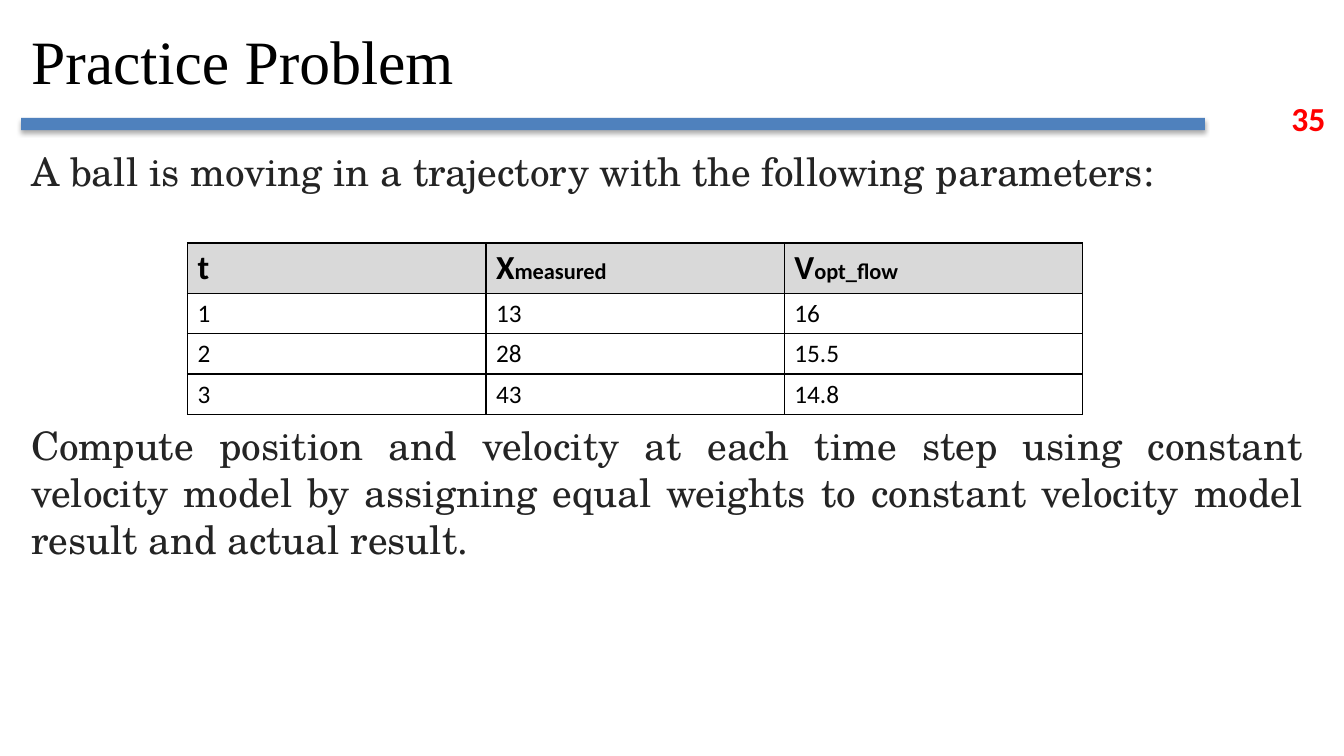
from dataclasses import dataclass

import pptx
import pptx.dml.color
import pptx.enum.shapes
import pptx.enum.text
import pptx.oxml
import pptx.oxml.ns
import pptx.util

EMU_PER_PX = 9144  # 100 px to the inch
ANCHOR = pptx.enum.text.MSO_ANCHOR
ALIGN = pptx.enum.text.PP_ALIGN


@dataclass(frozen=True)
class Theme:
    black: str = "000000"
    bar: str = "4F81BD"
    page_number: str = "FF0000"
    body: str = "242424"
    header_fill: str = "D9D9D9"
    title_font: str = "Times New Roman"
    body_font: str = "TeX Gyre Schola"
    table_font: str = "Calibri"
    title_size: int = 44
    body_size: int = 28
    header_size: int = 24
    subscript_size: int = 16
    cell_size: int = 18


@dataclass(frozen=True)
class Box:
    left: int
    top: int
    width: int
    height: int

    def emu(self) -> tuple[int, ...]:
        return tuple(px(n) for n in (self.left, self.top, self.width, self.height))


@dataclass(frozen=True)
class Style:
    font: str
    size: int
    color: str
    bold: bool = False


@dataclass(frozen=True)
class TextBlock:
    box: Box
    paragraphs: tuple[str, ...]
    style: Style
    align: ALIGN = ALIGN.LEFT
    anchor: ANCHOR = ANCHOR.TOP
    wrap: bool = True
    gap: int = 0


THEME = Theme()
BAR = Box(21, 117, 1174, 12)
TABLE = Box(186, 241, 888, 170)
HEADER_HEIGHT, ROW_HEIGHT = 50, 40
HEADERS = (("t", ""), ("X", "measured"), ("V", "opt_flow"))
ROWS = (("1", "13", "16"), ("2", "28", "15.5"), ("3", "43", "14.8"))

TEXT_BLOCKS = (
    TextBlock(Box(1271, 92, 59, 50), ("35",),
              Style(THEME.table_font, THEME.header_size, THEME.page_number, True),
              wrap=False),
    TextBlock(Box(21, 8, 1174, 102), ("Practice Problem",),
              Style(THEME.title_font, THEME.title_size, THEME.black),
              anchor=ANCHOR.MIDDLE),
    TextBlock(Box(21, 141, 1281, 602),
              ("A ball is moving in a trajectory with the following parameters:",
               "Compute position and velocity at each time step using constant "
               "velocity model by assigning equal weights to constant velocity "
               "model result and actual result."),
              Style(THEME.body_font, THEME.body_size, THEME.body),
              align=ALIGN.JUSTIFY, gap=162),
)


def px(length: int) -> int:
    return length * EMU_PER_PX


def rgb(color: str) -> pptx.dml.color.RGBColor:
    return pptx.dml.color.RGBColor.from_string(color)


def format_run(run, style: Style) -> None:
    run.font.name = style.font
    run.font.size = pptx.util.Pt(style.size)
    run.font.bold = style.bold
    run.font.color.rgb = rgb(style.color)


def add_text(slide, block: TextBlock) -> None:
    frame = slide.shapes.add_textbox(*block.box.emu()).text_frame
    frame.word_wrap = block.wrap
    frame.vertical_anchor = block.anchor
    frame.text = "\n".join(block.paragraphs)
    for index, paragraph in enumerate(frame.paragraphs):
        paragraph.alignment = block.align
        if index:
            paragraph.space_before = pptx.util.Pt(block.gap)
        format_run(paragraph.runs[0], block.style)


def add_bar(slide) -> None:
    bar = slide.shapes.add_shape(
        pptx.enum.shapes.MSO_SHAPE.RECTANGLE, *BAR.emu())
    bar.fill.solid()
    bar.fill.fore_color.rgb = rgb(THEME.bar)
    bar.line.fill.background()
    bar._element.spPr.append(pptx.oxml.parse_xml(
        f'<a:effectLst {pptx.oxml.ns.nsdecls("a")}>'
        '<a:outerShdw blurRad="44450" dist="27940" dir="5400000" rotWithShape="0">'
        f'<a:srgbClr val="{THEME.black}"><a:alpha val="32000"/></a:srgbClr>'
        '</a:outerShdw></a:effectLst>'))


def add_borders(cell) -> None:
    properties = cell._tc.get_or_add_tcPr()
    for index, side in enumerate("LRTB"):
        properties.insert(index, pptx.oxml.parse_xml(
            f'<a:ln{side} {pptx.oxml.ns.nsdecls("a")} w="12700"><a:solidFill>'
            f'<a:srgbClr val="{THEME.black}"/></a:solidFill></a:ln{side}>'))


def add_table(slide) -> None:
    table = slide.shapes.add_table(
        len(ROWS) + 1, len(HEADERS), *TABLE.emu()).table
    table.horz_banding = False
    for column in table.columns:
        column.width = px(TABLE.width // len(HEADERS))
    for index, row in enumerate(table.rows):
        row.height = px(ROW_HEIGHT if index else HEADER_HEIGHT)

    header_style = Style(THEME.table_font, THEME.header_size, THEME.black, True)
    subscript_style = Style(THEME.table_font, THEME.subscript_size, THEME.black, True)
    cell_style = Style(THEME.table_font, THEME.cell_size, THEME.black)

    for column, (symbol, subscript) in enumerate(HEADERS):
        cell = table.cell(0, column)
        cell.fill.solid()
        cell.fill.fore_color.rgb = rgb(THEME.header_fill)
        cell.text = symbol
        paragraph = cell.text_frame.paragraphs[0]
        format_run(paragraph.runs[0], header_style)
        if subscript:
            run = paragraph.add_run()
            run.text = subscript
            format_run(run, subscript_style)
        add_borders(cell)

    for row, values in enumerate(ROWS, start=1):
        for column, value in enumerate(values):
            cell = table.cell(row, column)
            cell.fill.background()
            cell.text = value
            format_run(cell.text_frame.paragraphs[0].runs[0], cell_style)
            add_borders(cell)


def main() -> None:
    presentation = pptx.Presentation()
    presentation.slide_width = px(1333)
    presentation.slide_height = px(750)
    slide = presentation.slides.add_slide(presentation.slide_layouts[6])
    add_bar(slide)
    for block in TEXT_BLOCKS:
        add_text(slide, block)
    add_table(slide)
    presentation.save("out.pptx")


if __name__ == "__main__":
    main()
